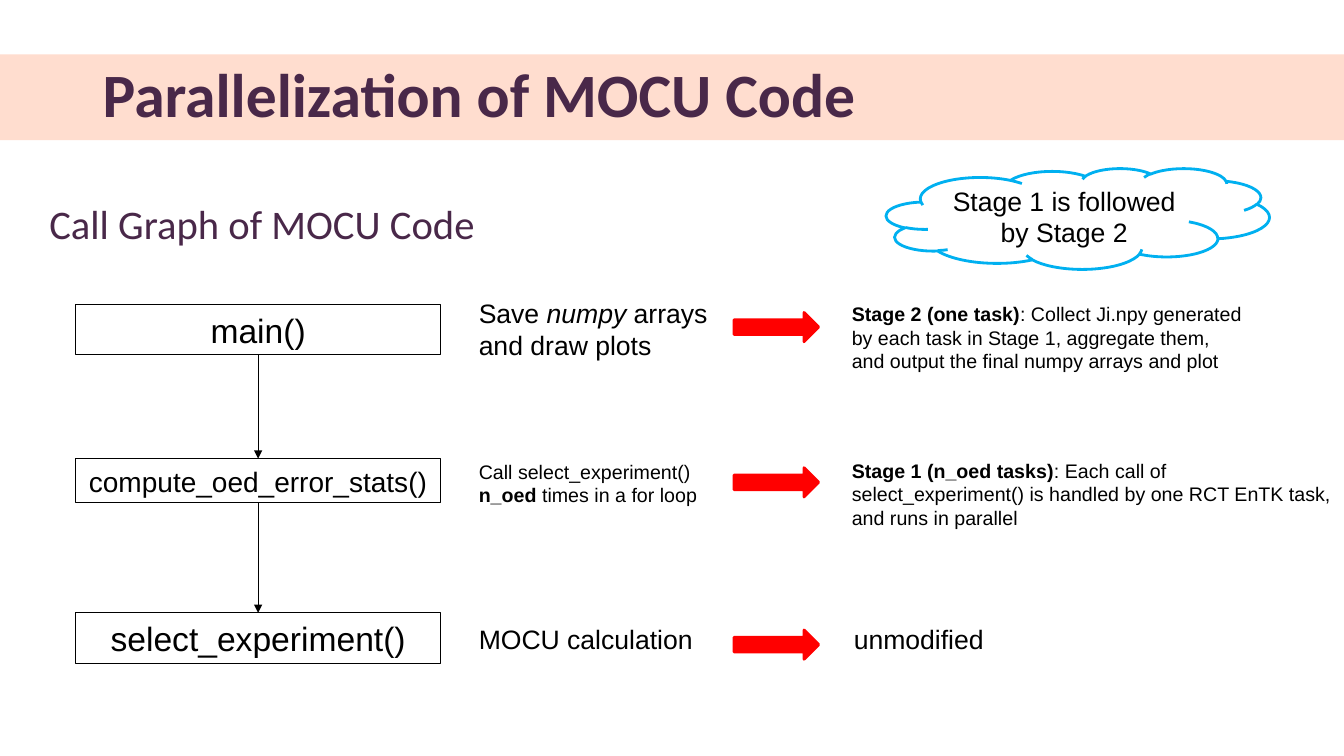
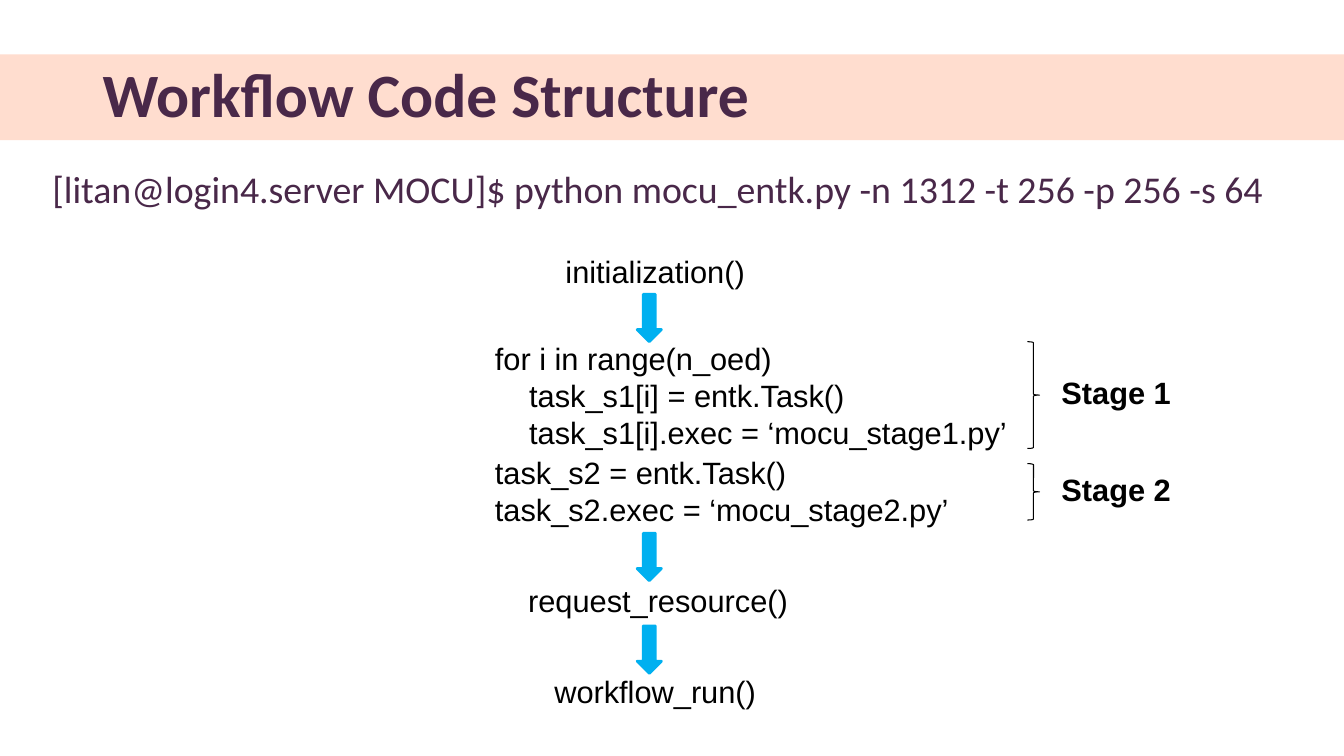
from dataclasses import dataclass
from itertools import pairwise
from typing import NamedTuple

from lxml.etree import SubElement
from pptx import Presentation
from pptx.dml.color import RGBColor
from pptx.enum.shapes import MSO_CONNECTOR as Connector
from pptx.enum.shapes import MSO_SHAPE as Preset
from pptx.enum.text import MSO_ANCHOR as Anchor
from pptx.enum.text import PP_ALIGN as Align
from pptx.oxml.ns import qn
from pptx.shapes.autoshape import Shape
from pptx.slide import Slide
from pptx.util import Inches, Pt

PLUM = RGBColor(0x49, 0x28, 0x49)
PEACH = RGBColor(0xFF, 0xDD, 0xCF)
BLACK = RGBColor(0x00, 0x00, 0x00)
WHITE = RGBColor(0xFF, 0xFF, 0xFF)
RED = RGBColor(0xFF, 0x00, 0x00)
SKY = RGBColor(0x00, 0xB0, 0xF0)

SLIDE_WIDTH, SLIDE_HEIGHT = 13.33, 7.5
CODE_INDENT = 0.34
CODE_SIZE = 22


class Area(NamedTuple):
    left: float
    top: float
    width: float
    height: float


class Span(NamedTuple):
    text: str
    bold: bool = False
    italic: bool = False


class Line(NamedTuple):
    spans: tuple[Span, ...]
    level: int = 0


@dataclass(frozen=True)
class TextStyle:
    size: float
    font: str = "Arial"
    color: RGBColor = BLACK
    align: Align = Align.LEFT
    anchor: Anchor = Anchor.TOP
    spacing: float = 1.0


@dataclass(frozen=True)
class CallStep:
    function: str
    box_height: float
    function_size: int
    role: Line
    role_area: Area
    role_size: int
    arrow_top: float
    plan: Line
    plan_area: Area
    plan_size: int


@dataclass(frozen=True)
class CodeBlock:
    lines: tuple[Line, ...]
    area: Area


@dataclass(frozen=True)
class StageMark:
    name: str
    brace_top: float
    brace_height: float
    label_top: float


TITLE = TextStyle(44, "Calibri", PLUM, anchor=Anchor.MIDDLE, spacing=0.9)
HEADING = TextStyle(29, "Calibri", PLUM, spacing=0.9)
COMMAND = TextStyle(27, "Calibri", PLUM, spacing=0.9)
CODE = TextStyle(CODE_SIZE)


def plain(text: str, level: int = 0) -> Line:
    return Line((Span(text),), level)


def bold(text: str) -> Line:
    return Line((Span(text, bold=True),))


CALL_STEPS = (
    CallStep(
        "main()", 0.5, 24,
        Line((Span("Save "), Span("numpy", italic=True), Span(" arrays and draw plots"))),
        Area(4.65, 2.9, 2.49, 0.74), 19, 3.1,
        Line((
            Span("Stage 2 (one task)", bold=True),
            Span(": Collect Ji.npy generated by each task in Stage 1, aggregate them, "
                 "and output the final numpy arrays and plot"),
        )),
        Area(8.35, 2.95, 4.07, 0.81), 14,
    ),
    CallStep(
        "compute_oed_error_stats()", 0.44, 20,
        Line((
            Span("Call select_experiment() "),
            Span("n_oed", bold=True),
            Span(" times in a for loop"),
        )),
        Area(4.65, 4.51, 2.38, 0.57), 14, 4.64,
        Line((
            Span("Stage 1 (n_oed tasks)", bold=True),
            Span(": Each call of select_experiment() is handled by one RCT EnTK task, "
                 "and runs in parallel"),
        )),
        Area(8.35, 4.5, 4.98, 0.81), 14,
    ),
    CallStep(
        "select_experiment()", 0.5, 24,
        plain("MOCU calculation"), Area(4.65, 6.13, 2.38, 0.42), 19, 6.25,
        plain("unmodified"), Area(8.37, 6.13, 4.96, 0.42), 19,
    ),
)

CODE_BLOCKS = (
    CodeBlock((plain("initialization()"),), Area(5.51, 2.46, 1.99, 0.47)),
    CodeBlock(
        (
            plain("for i in range(n_oed)"),
            plain("task_s1[i] = entk.Task()", 1),
            plain("task_s1[i].exec = ‘mocu_stage1.py’", 1),
        ),
        Area(4.81, 3.32, 5.38, 1.21),
    ),
    CodeBlock(
        (plain("task_s2 = entk.Task()"), plain("task_s2.exec = ‘mocu_stage2.py’")),
        Area(4.81, 4.45, 4.72, 0.84),
    ),
    CodeBlock((plain("request_resource()"),), Area(5.14, 5.72, 2.91, 0.47)),
    CodeBlock((plain("workflow_run()"),), Area(5.4, 6.62, 2.24, 0.47)),
)

STAGE_MARKS = (
    StageMark("Stage 1", 3.39, 1.06, 3.66),
    StageMark("Stage 2", 4.6, 0.56, 4.62),
)


def write(shape: Shape, lines: tuple[Line, ...], style: TextStyle) -> None:
    frame = shape.text_frame
    frame.word_wrap = True
    frame.vertical_anchor = style.anchor
    for index, line in enumerate(lines):
        paragraph = frame.add_paragraph() if index else frame.paragraphs[0]
        paragraph.alignment = style.align
        paragraph.line_spacing = style.spacing
        if line.level:
            indent = Inches(CODE_INDENT * line.level)
            paragraph._p.get_or_add_pPr().set("marL", str(indent))
        for span in line.spans:
            run = paragraph.add_run()
            run.text = span.text
            run.font.size = Pt(style.size)
            run.font.name = style.font
            run.font.color.rgb = style.color
            run.font.bold = span.bold
            run.font.italic = span.italic


def add_text(slide: Slide, area: Area, lines: tuple[Line, ...], style: TextStyle) -> None:
    write(slide.shapes.add_textbox(*map(Inches, area)), lines, style)


def add_figure(
    slide: Slide,
    preset: Preset,
    area: Area,
    fill: RGBColor | None = None,
    outline: RGBColor | None = None,
    weight: float = 0.75,
) -> Shape:
    figure = slide.shapes.add_shape(preset, *map(Inches, area))
    figure.shadow.inherit = False
    if fill is None:
        figure.fill.background()
    else:
        figure.fill.solid()
        figure.fill.fore_color.rgb = fill
    if outline is None:
        figure.line.fill.background()
    else:
        figure.line.color.rgb = outline
        figure.line.width = Pt(weight)
    return figure


def add_call(slide: Slide, caller: Shape, callee: Shape) -> None:
    call = slide.shapes.add_connector(Connector.STRAIGHT, 0, 0, 0, 0)
    call.begin_connect(caller, 2)
    call.end_connect(callee, 0)
    call.line.color.rgb = BLACK
    call.line.width = Pt(0.75)
    SubElement(call.line._get_or_add_ln(), qn("a:tailEnd"), type="triangle")
    SubElement(call._element.spPr, qn("a:effectLst"))


def add_titled_slide(deck: Presentation, title: str) -> Slide:
    slide = deck.slides.add_slide(deck.slide_layouts[6])
    slide.background.fill.solid()
    slide.background.fill.fore_color.rgb = WHITE
    add_figure(slide, Preset.RECTANGLE, Area(0, 0.54, SLIDE_WIDTH, 0.85), PEACH)
    add_text(slide, Area(0.92, 0.71, 11.5, 0.52), (bold(title),), TITLE)
    return slide


def build_call_graph(deck: Presentation) -> None:
    slide = add_titled_slide(deck, "Parallelization of MOCU Code")
    add_text(slide, Area(0.39, 1.98, 4.88, 0.6), (plain("Call Graph of MOCU Code"),), HEADING)

    functions = []
    for index, step in enumerate(CALL_STEPS):
        box_area = Area(0.75, 3.02 + 1.53 * index, 3.62, step.box_height)
        box = add_figure(slide, Preset.RECTANGLE, box_area, outline=BLACK)
        label_style = TextStyle(step.function_size, align=Align.CENTER, anchor=Anchor.MIDDLE)
        write(box, (plain(step.function),), label_style)
        functions.append(box)
        add_text(slide, step.role_area, (step.role,), TextStyle(step.role_size))
        arrow_area = Area(7.28, step.arrow_top, 0.84, 0.29)
        add_figure(slide, Preset.RIGHT_ARROW, arrow_area, RED, RED, 2)
        add_text(slide, step.plan_area, (step.plan,), TextStyle(step.plan_size))
    for caller, callee in pairwise(functions):
        add_call(slide, caller, callee)

    cloud = add_figure(slide, Preset.CLOUD, Area(8.79, 1.67, 3.8, 1), WHITE, SKY, 2)
    order_style = TextStyle(19, align=Align.CENTER, anchor=Anchor.MIDDLE)
    write(cloud, (plain("Stage 1 is followed by Stage 2"),), order_style)


def build_workflow(deck: Presentation) -> None:
    slide = add_titled_slide(deck, "Workflow Code Structure")
    command = "[litan@login4.server MOCU]$ python mocu_entk.py -n 1312 -t 256 -p 256 -s 64"
    add_text(slide, Area(0.42, 1.65, 12.42, 0.57), (plain(command),), COMMAND)

    for block in CODE_BLOCKS:
        add_text(slide, block.area, block.lines, CODE)
    for top in (2.92, 5.29, 6.21):
        add_figure(slide, Preset.DOWN_ARROW, Area(6.32, top, 0.24, 0.47), SKY, SKY, 2)
    for mark in STAGE_MARKS:
        brace_area = Area(10.19, mark.brace_top, 0.12, mark.brace_height)
        add_figure(slide, Preset.RIGHT_BRACE, brace_area, outline=BLACK)
        add_text(slide, Area(10.43, mark.label_top, 1.3, 0.47), (bold(mark.name),), CODE)


def main() -> None:
    deck = Presentation()
    deck.slide_width = Inches(SLIDE_WIDTH)
    deck.slide_height = Inches(SLIDE_HEIGHT)
    build_call_graph(deck)
    build_workflow(deck)
    deck.save("out.pptx")


if __name__ == "__main__":
    main()
